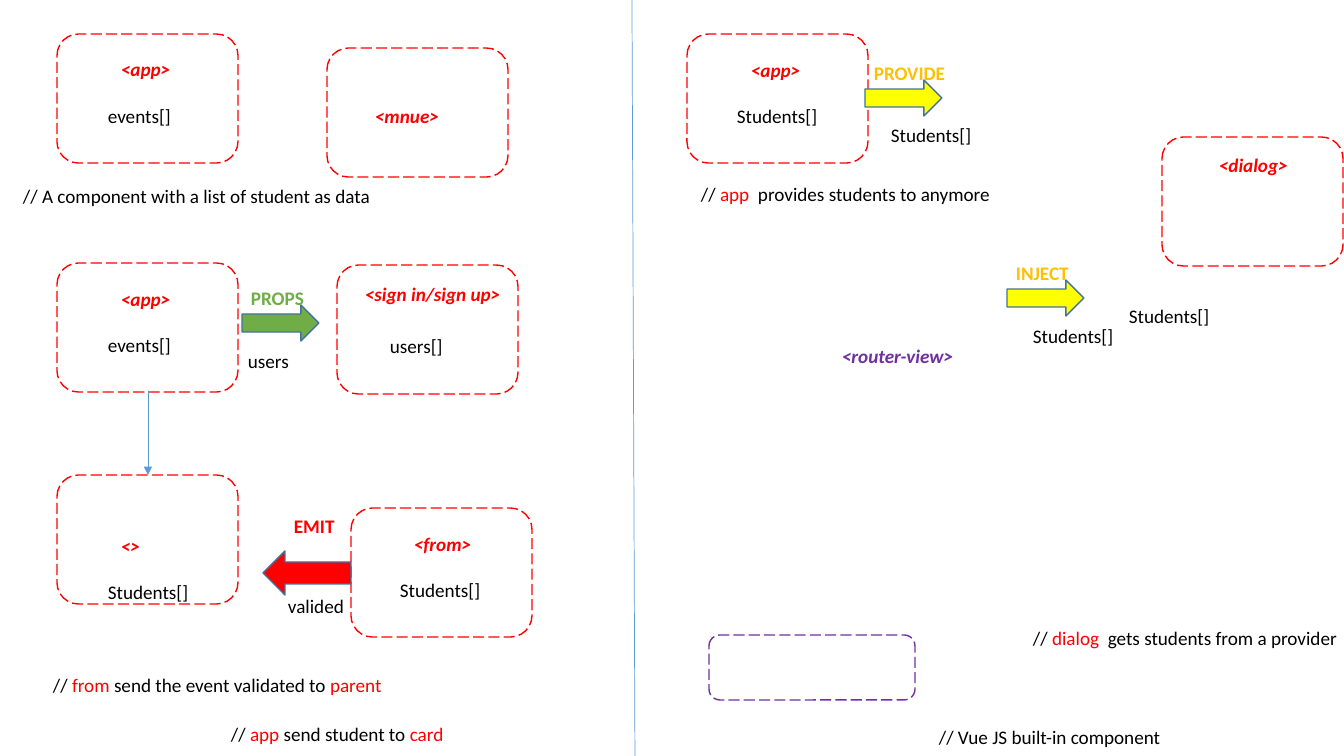
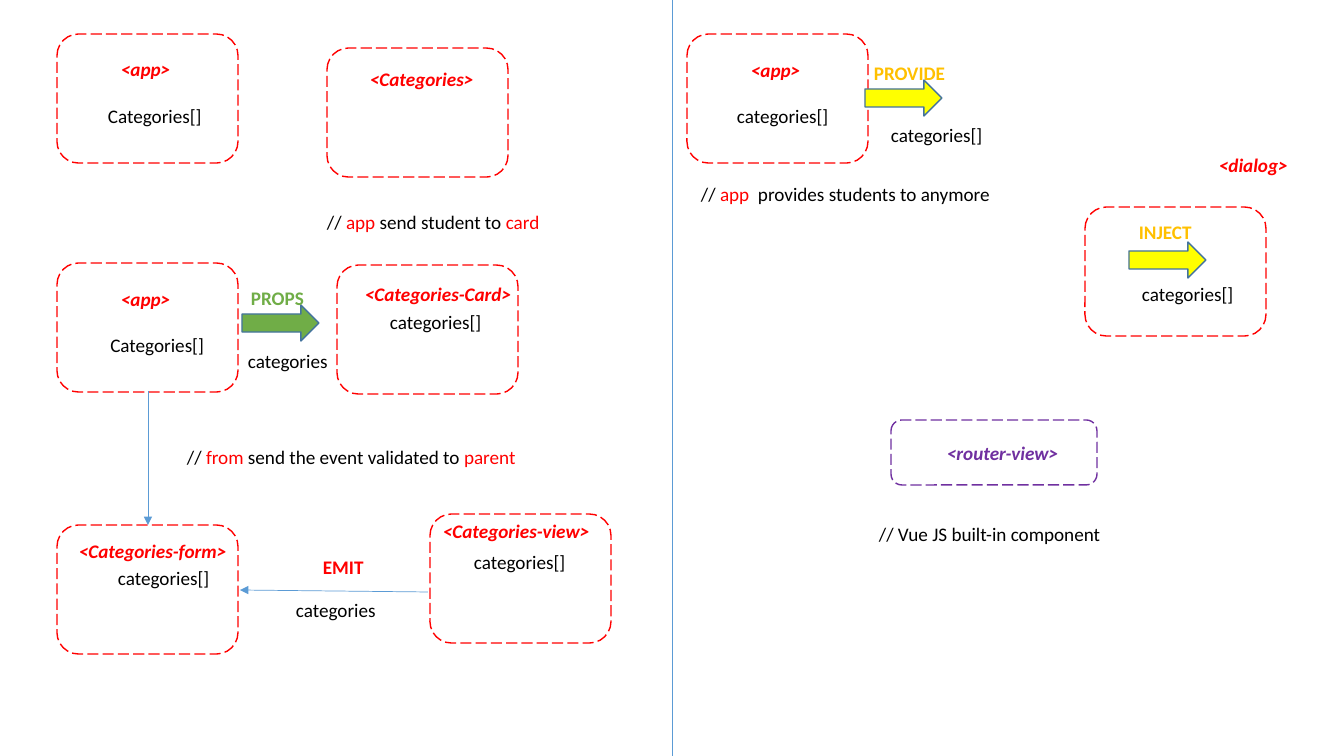
from lxml import etree
from pptx import Presentation
from pptx.dml.color import RGBColor
from pptx.enum.dml import MSO_LINE
from pptx.enum.shapes import MSO_CONNECTOR, MSO_SHAPE
from pptx.enum.text import MSO_ANCHOR, MSO_AUTO_SIZE, PP_ALIGN
from pptx.oxml.ns import qn
from pptx.util import Pt

ROUNDED = MSO_SHAPE.ROUNDED_RECTANGLE
RIGHT_ARROW = MSO_SHAPE.RIGHT_ARROW
LEFT_ARROW = MSO_SHAPE.LEFT_ARROW
STRAIGHT = MSO_CONNECTOR.STRAIGHT
LONG_DASH = MSO_LINE.LONG_DASH
FIT = MSO_AUTO_SIZE.SHAPE_TO_FIT_TEXT
TOP = MSO_ANCHOR.TOP
LEFT, RIGHT = PP_ALIGN.LEFT, PP_ALIGN.RIGHT

WIDTH, HEIGHT = 1344, 756
SCALE = 12192000 / WIDTH

THEME = {
    "font": "Calibri",
    "size": Pt(13.7),
    "outline": Pt(1),
    "hairline": Pt(0.5),
    "black": RGBColor(0x00, 0x00, 0x00),
    "red": RGBColor(0xFF, 0x00, 0x00),
    "green": RGBColor(0x70, 0xAD, 0x47),
    "yellow": RGBColor(0xFF, 0xFF, 0x00),
    "gold": RGBColor(0xFF, 0xC0, 0x00),
    "purple": RGBColor(0x70, 0x30, 0xA0),
    "blue": RGBColor(0x5B, 0x9B, 0xD5),
    "arrow edge": RGBColor(0x43, 0x73, 0x9E),
}
STYLES = {
    "plain": {},
    "right": {"align": RIGHT},
    "tag": {"color": "red", "bold": True, "italic": True},
    "router": {"color": "purple", "bold": True, "italic": True},
    "props": {"color": "green", "bold": True},
    "emit": {"color": "red", "bold": True},
    "provide": {"color": "gold", "bold": True},
}

COMPONENT = (181, 129)
ROUTER = (206, 65)
ARROW = (77, 36)
EMIT_ARROW = (88, 44)
TEXT_HEIGHT = 33

SHARED = {
    "frames": [
        (57, 34, COMPONENT, "red"),
        (57, 263, COMPONENT, "red"),
        (337, 265, COMPONENT, "red"),
        (687, 34, COMPONENT, "red"),
        (327, 48, COMPONENT, "red"),
    ],
    "arrows": [
        (RIGHT_ARROW, 242, 305, ARROW, "green"),
        (RIGHT_ARROW, 865, 80, ARROW, "yellow"),
    ],
    "lines": [],
    "texts": [
        ("tag", "<app>", 111, 52, 71),
        ("tag", "<app>", 111, 282, 71),
        ("tag", "<app>", 741, 53, 71),
        ("tag", "<dialog>", 1209, 148, 91),
        ("props", "PROPS", 241, 281, 74),
        ("provide", "PROVIDE", 864, 56, 93),
        ("plain", "// *app*  provides students to anymore", 691, 177, 316),
    ],
}

STUDENTS = {
    "frames": [
        (57, 475, COMPONENT, "red"),
        (351, 508, COMPONENT, "red"),
        (1162, 137, COMPONENT, "red"),
        (709, 635, ROUTER, "purple"),
    ],
    "arrows": [
        (LEFT_ARROW, 263, 551, EMIT_ARROW, "red"),
        (RIGHT_ARROW, 1007, 280, ARROW, "yellow"),
    ],
    "lines": [
        (632, 0, 635, HEIGHT, False),
        (148, 391, 148, 475, True),
    ],
    "texts": [
        ("plain", "events[]", 98, 99, 85),
        ("plain", "// A component with a list of student as data", 13, 179, 373),
        ("tag", "<mnue>", 365, 99, 86),
        ("plain", "events[]", 98, 328, 85),
        ("plain", "users", 238, 344, 61),
        ("tag", "<sign in/sign up>", 355, 277, 158),
        ("plain", "users[]", 380, 329, 74),
        ("tag", "<>", 111, 529, 39),
        ("plain", "Students[]", 98, 575, 102),
        ("emit", "EMIT", 284, 509, 61),
        ("plain", "valided", 278, 589, 78),
        ("tag", "<from>", 404, 527, 79),
        ("plain", "Students[]", 390, 573, 102),
        ("plain", "// *from* send the event validated to *parent*", 43, 668, 355),
        ("plain", "// *app* send student to *card *", 221, 717, 241),
        ("plain", "Students[]", 727, 99, 102),
        ("plain", "Students[]", 881, 118, 102),
        ("provide", "INJECT", 1006, 256, 74),
        ("plain", "Students[]", 1023, 319, 102),
        ("plain", "Students[]", 1119, 299, 102),
        ("router", "<router-view>", 832, 339, 134),
        ("plain", "// *dialog * gets students from a provider", 1023, 621, 330),
        ("plain", "// Vue JS built-in component", 929, 720, 246),
    ],
}

CATEGORIES = {
    "frames": [
        (57, 525, COMPONENT, "red"),
        (430, 514, COMPONENT, "red"),
        (1085, 207, COMPONENT, "red"),
        (891, 420, ROUTER, "purple"),
    ],
    "arrows": [(RIGHT_ARROW, 1129, 242, ARROW, "yellow")],
    "lines": [
        (672, 0, 672, HEIGHT, False),
        (148, 391, 148, 525, True),
        (428, 592, 240, 590, True),
    ],
    "texts": [
        ("plain", "Categories[]", 98, 99, 116),
        ("tag", "<Categories>", 360, 62, 126),
        ("plain", "// *app* send student to *card *", 317, 205, 241),
        ("right", "Categories[]", 98, 328, 116),
        ("plain", "categories", 238, 344, 102),
        ("tag", "<Categories-Card>", 355, 277, 169),
        ("plain", "categories[]", 380, 305, 113),
        ("plain", "// *from* send the event validated to *parent*", 177, 440, 355),
        ("tag", "<Categories-form>", 69, 534, 170),
        ("plain", "categories[]", 108, 561, 113),
        ("emit", "EMIT", 313, 550, 61),
        ("plain", "categories", 286, 593, 102),
        ("tag", "<Categories-view>", 433, 514, 169),
        ("plain", "categories[]", 464, 545, 113),
        ("plain", "categories[]", 727, 99, 113),
        ("plain", "categories[]", 881, 118, 113),
        ("provide", "INJECT", 1129, 215, 74),
        ("plain", "categories[]", 1132, 277, 113),
        ("router", "<router-view>", 937, 436, 134),
        ("plain", "// Vue JS built-in component", 869, 517, 246),
    ],
}


def emu(*pixels):
    return [round(pixel * SCALE) for pixel in pixels]


def write(slide, text, left, top, width, color="black", accent="red",
          bold=False, italic=False, align=LEFT):
    box = slide.shapes.add_textbox(*emu(left, top, width, TEXT_HEIGHT))
    frame = box.text_frame
    frame.word_wrap = False
    frame.auto_size = FIT
    frame.vertical_anchor = TOP
    paragraph = frame.paragraphs[0]
    paragraph.alignment = align
    for index, part in enumerate(text.split("*")):
        if part:
            run = paragraph.add_run()
            run.text = part
            run.font.name = THEME["font"]
            run.font.size = THEME["size"]
            run.font.bold = bold
            run.font.italic = italic
            run.font.color.rgb = THEME[accent if index % 2 else color]


presentation = Presentation()
presentation.slide_width, presentation.slide_height = emu(WIDTH, HEIGHT)

for content in (STUDENTS, CATEGORIES):
    slide = presentation.slides.add_slide(presentation.slide_layouts[6])
    parts = {kind: SHARED[kind] + content[kind] for kind in SHARED}

    for left, top, size, color in parts["frames"]:
        shape = slide.shapes.add_shape(ROUNDED, *emu(left, top, *size))
        shape.shadow.inherit = False
        shape.fill.background()
        shape.line.color.rgb = THEME[color]
        shape.line.width = THEME["outline"]
        shape.line.dash_style = LONG_DASH

    for kind, left, top, size, color in parts["arrows"]:
        shape = slide.shapes.add_shape(kind, *emu(left, top, *size))
        shape.shadow.inherit = False
        shape.fill.solid()
        shape.fill.fore_color.rgb = THEME[color]
        shape.line.color.rgb = THEME["arrow edge"]
        shape.line.width = THEME["outline"]

    for start_x, start_y, end_x, end_y, pointed in parts["lines"]:
        connector = slide.shapes.add_connector(
            STRAIGHT, *emu(start_x, start_y, end_x, end_y))
        connector.line.color.rgb = THEME["blue"]
        connector.line.width = THEME["hairline"]
        properties = connector._element.spPr
        if pointed:
            etree.SubElement(properties.find(qn("a:ln")), qn("a:tailEnd"), type="triangle")
        etree.SubElement(properties, qn("a:effectLst"))

    for style, text, left, top, width in parts["texts"]:
        write(slide, text, left, top, width, **STYLES[style])

presentation.save("out.pptx")
